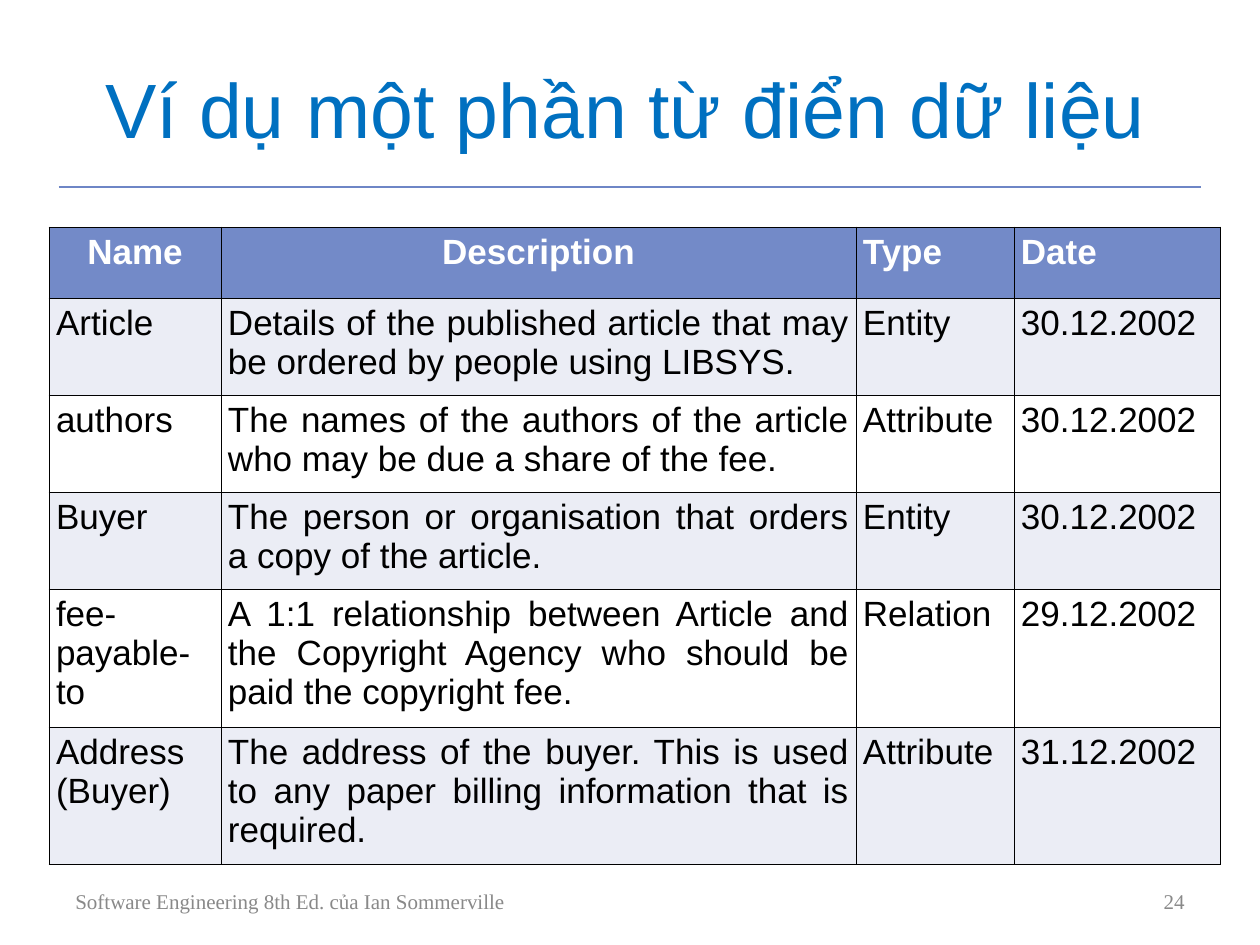
"""Build a slide with a sample data dictionary table."""
from dataclasses import dataclass

from lxml.etree import SubElement
from pptx import Presentation
from pptx.dml.color import RGBColor
from pptx.enum.shapes import MSO_CONNECTOR
from pptx.enum.text import MSO_ANCHOR, PP_ALIGN
from pptx.oxml.ns import qn
from pptx.slide import Slide
from pptx.table import _Cell
from pptx.text.text import TextFrame
from pptx.util import Emu, Pt

COLORS = {
    "title": "0070C0", "gold": "FEB80A", "rule": "6E86C6", "grid": "000000",
    "head": "738AC8", "band": "EBEDF5", "plain": "FFFFFF",
    "light": "FFFFFF", "dark": "000000", "foot": "898989",
}
COLS = [172, 635, 158, 206]
ROWS = [71, 97, 97, 97, 138, 138]
DATA = [
    ("Name", "Description", "Type", "Date"),
    ("Article", "Details of the published article that may be ordered by people using LIBSYS.",
     "Entity", "30.12.2002"),
    ("authors", "The names of the authors of the article who may be due a share of the fee.",
     "Attribute", "30.12.2002"),
    ("Buyer", "The person or organisation that orders a copy of the article.",
     "Entity", "30.12.2002"),
    ("fee-payable-to", "A 1:1 relationship between Article and the Copyright Agency "
     "who should be paid the copyright fee.", "Relation", "29.12.2002"),
    ("Address (Buyer)", "The address of the buyer. This is used to any paper billing "
     "information that is required.", "Attribute", "31.12.2002"),
]


@dataclass
class Style:
    """Look of a paragraph."""
    size: int
    color: str
    align: PP_ALIGN
    face: str = "Arial"
    bold: bool = False


@dataclass
class Rule:
    """Line under the title."""
    right: int
    color: str


@dataclass
class Note:
    """Small text at the foot."""
    text: str
    left: int
    width: int
    align: PP_ALIGN


RULES = [Rule(1191, "gold"), Rule(1201, "rule")]
NOTES = [
    Note("Software Engineering 8th Ed. của Ian Sommerville", 63, 819, PP_ALIGN.LEFT),
    Note("24", 903, 294, PP_ALIGN.RIGHT),
]


def px(count: int) -> Emu:
    """Turn pixels into EMU."""
    return Emu(round(count * 914400 / 126))


def rgb(name: str) -> RGBColor:
    """Look up a colour."""
    return RGBColor.from_string(COLORS[name])


def write(frame: TextFrame, text: str, style: Style) -> None:
    """Put one styled paragraph in a frame."""
    frame.word_wrap = True
    para = frame.paragraphs[0]
    para.text = text
    para.alignment = style.align
    font = para.font
    font.name, font.size, font.bold = style.face, Pt(style.size), style.bold
    font.color.rgb = rgb(style.color)


def draw_rule(slide: Slide, rule: Rule) -> None:
    """Draw a thin line without shadow."""
    line = slide.shapes.add_connector(
        MSO_CONNECTOR.STRAIGHT, px(59), px(187), px(rule.right), px(187))
    line.line.width = Pt(0.75)
    line.line.color.rgb = rgb(rule.color)
    SubElement(line._element.spPr, qn("a:effectLst"))


def draw_note(slide: Slide, note: Note) -> None:
    """Add a text box at the foot."""
    box = slide.shapes.add_textbox(px(note.left), px(876), px(note.width), px(50))
    box.text_frame.vertical_anchor = MSO_ANCHOR.MIDDLE
    write(box.text_frame, note.text, Style(12, "foot", note.align, "Times New Roman"))


def frame_cell(cell: _Cell) -> None:
    """Draw the four borders of a cell."""
    props = cell._tc.get_or_add_tcPr()
    for side in ("lnL", "lnR", "lnT", "lnB"):
        edge = SubElement(props, qn(f"a:{side}"), w=str(Pt(0.45)))
        fill = SubElement(edge, qn("a:solidFill"))
        SubElement(fill, qn("a:srgbClr"), val=COLORS["grid"])


def draw_table(slide: Slide) -> None:
    """Add the dictionary table."""
    table = slide.shapes.add_table(
        len(ROWS), len(COLS), px(49), px(227), px(sum(COLS)), px(sum(ROWS))).table
    table.horz_banding = False
    for col, width in zip(table.columns, COLS):
        col.width = px(width)
    for row, height in zip(table.rows, ROWS):
        row.height = px(height)
    for r, texts in enumerate(DATA):
        head = r == 0
        shade = "head" if head else "band" if r % 2 else "plain"
        for c, text in enumerate(texts):
            cell = table.cell(r, c)
            cell.margin_left = cell.margin_right = px(7)
            cell.margin_top = cell.margin_bottom = px(6)
            frame_cell(cell)
            cell.fill.solid()
            cell.fill.fore_color.rgb = rgb(shade)
            align = PP_ALIGN.CENTER if head and c < 2 else PP_ALIGN.JUSTIFY
            write(cell.text_frame, text,
                  Style(20, "light" if head else "dark", align, bold=head))


def main() -> None:
    """Build and save the slide."""
    deck = Presentation()
    deck.slide_width, deck.slide_height = px(1260), px(945)
    slide = deck.slides.add_slide(deck.slide_layouts[5])
    for rule in RULES:
        draw_rule(slide, rule)
    title = slide.shapes.title
    title.left, title.top, title.width, title.height = px(59), px(29), px(1134), px(158)
    title.text_frame.vertical_anchor = MSO_ANCHOR.MIDDLE
    write(title.text_frame, "Ví dụ một phần từ điển dữ liệu",
          Style(44, "title", PP_ALIGN.CENTER))
    draw_table(slide)
    for note in NOTES:
        draw_note(slide, note)
    deck.save("out.pptx")


if __name__ == "__main__":
    main()
